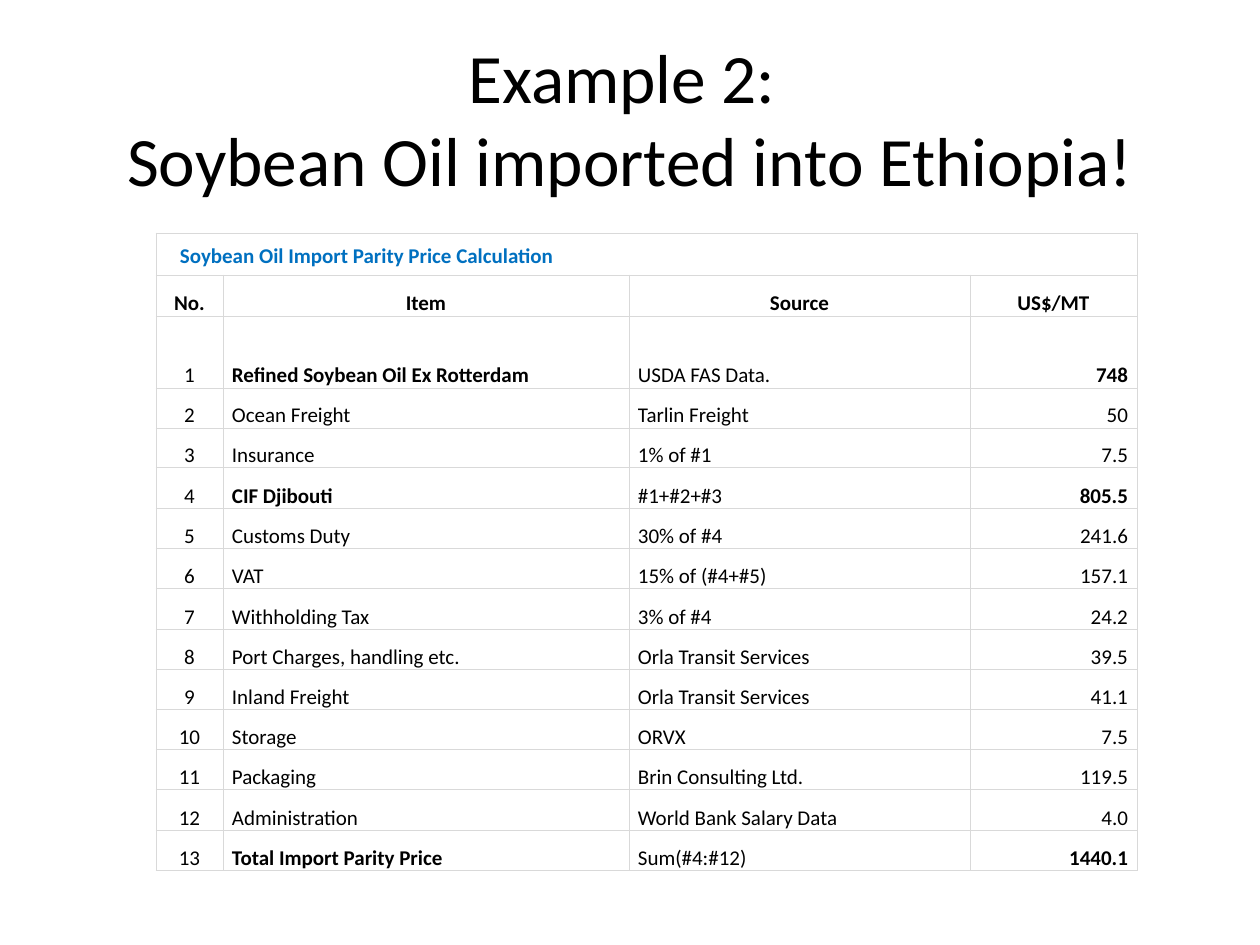
"""Build a slide with an import parity price table for soybean oil."""
from dataclasses import dataclass

from lxml.etree import SubElement
from pptx import Presentation
from pptx.dml.color import RGBColor
from pptx.enum.text import MSO_ANCHOR, MSO_AUTO_SIZE, PP_ALIGN
from pptx.oxml.ns import qn
from pptx.util import Pt

EMU_PER_PX = 914400 / 126
BLACK = RGBColor(0x00, 0x00, 0x00)
BLUE = RGBColor(0x00, 0x70, 0xC0)
WHITE = RGBColor(0xFF, 0xFF, 0xFF)
GRID_GREY = RGBColor(0xD9, 0xD9, 0xD9)

COLUMN_WIDTHS = (67, 406, 341, 167)
CAPTION_HEIGHT, HEADING_HEIGHT, FIRST_COST_HEIGHT = 42, 41, 72
OTHER_COSTS_HEIGHT = 483
HEADINGS = ("No.", "Item", "Source", "US$/MT")
COLUMN_ALIGNMENTS = (PP_ALIGN.CENTER, PP_ALIGN.JUSTIFY, PP_ALIGN.JUSTIFY, PP_ALIGN.RIGHT)


@dataclass(frozen=True)
class Cost:
    item: str
    source: str
    price: str
    bold: bool = False


COSTS = (
    Cost("Refined Soybean Oil Ex Rotterdam", "USDA FAS Data.", "748", True),
    Cost("Ocean Freight", "Tarlin Freight", "50"),
    Cost("Insurance", "1% of #1", "7.5"),
    Cost("CIF Djibouti", "#1+#2+#3", "805.5", True),
    Cost("Customs Duty", "30% of #4", "241.6"),
    Cost("VAT", "15% of (#4+#5)", "157.1"),
    Cost("Withholding Tax", "3% of #4", "24.2"),
    Cost("Port Charges, handling etc.", "Orla Transit Services", "39.5"),
    Cost("Inland Freight", "Orla Transit Services", "41.1"),
    Cost("Storage", "ORVX", "7.5"),
    Cost("Packaging", "Brin Consulting Ltd.", "119.5"),
    Cost("Administration", "World Bank Salary Data", "4.0"),
    Cost("Total Import Parity Price", "Sum(#4:#12)", "1440.1", True),
)


def px(length: int) -> int:
    """Turn whole pixels into EMU."""
    return round(length * EMU_PER_PX)


def apply_format(target, values: dict) -> None:
    """Set each named attribute on the target."""
    for name, value in values.items():
        setattr(target, name, value)


def style_font(font, size: float, color: RGBColor, bold: bool = False) -> None:
    """Give a font its face, size, weight and colour."""
    apply_format(font, {"name": "Calibri", "size": Pt(size), "bold": bold})
    font.color.rgb = color


def outline_cell(cell) -> None:
    """Draw a thin grey line on all four sides of a cell."""
    properties = cell._tc.get_or_add_tcPr()
    for position, side in enumerate(("a:lnL", "a:lnR", "a:lnT", "a:lnB")):
        line = SubElement(properties, qn(side), w=str(Pt(0.5)))
        fill = SubElement(line, qn("a:solidFill"))
        SubElement(fill, qn("a:srgbClr"), val=str(GRID_GREY))
        properties.insert(position, line)


def write_cell(cell, wording: str, alignment: PP_ALIGN, bold: bool = False,
               color: RGBColor = BLACK, anchor: MSO_ANCHOR = MSO_ANCHOR.BOTTOM,
               indent: int = 9, space_after: int = 10) -> None:
    """Write one formatted paragraph into a cell."""
    apply_format(cell, {"text": wording, "vertical_anchor": anchor,
                        "margin_left": px(indent), "margin_right": px(9),
                        "margin_top": 0, "margin_bottom": 0})
    paragraph = cell.text_frame.paragraphs[0]
    apply_format(paragraph, {"alignment": alignment, "line_spacing": 1.15,
                             "space_after": Pt(space_after)})
    style_font(paragraph.runs[0].font, 12, color, bold)


def row_heights() -> list[int]:
    """Return row heights, sharing the lower part evenly among the later costs."""
    count = len(COSTS) - 1
    edges = [round(OTHER_COSTS_HEIGHT * i / count) for i in range(count + 1)]
    return [CAPTION_HEIGHT, HEADING_HEIGHT, FIRST_COST_HEIGHT,
            *(low - high for high, low in zip(edges, edges[1:]))]


def add_title(slide) -> None:
    """Place and format the slide title."""
    title = slide.shapes.title
    apply_format(title, {"left": px(63), "top": px(38),
                         "width": px(1134), "height": px(158)})
    frame = title.text_frame
    apply_format(frame, {"text": "Example 2: \vSoybean Oil imported into Ethiopia!",
                         "word_wrap": True, "auto_size": MSO_AUTO_SIZE.NONE,
                         "vertical_anchor": MSO_ANCHOR.MIDDLE})
    paragraph = frame.paragraphs[0]
    paragraph.alignment = PP_ALIGN.CENTER
    style_font(paragraph.font, 39.6, BLACK)
    for run in paragraph.runs:
        style_font(run.font, 39.6, BLACK)


def add_price_table(slide) -> None:
    """Add the table of costs with its caption and headings."""
    heights = row_heights()
    table = slide.shapes.add_table(len(heights), len(COLUMN_WIDTHS), px(156), px(233),
                                   px(sum(COLUMN_WIDTHS)), px(sum(heights))).table
    apply_format(table, {"first_row": False, "horz_banding": False})
    for column, width in zip(table.columns, COLUMN_WIDTHS):
        column.width = px(width)
    for row, height in zip(table.rows, heights):
        row.height = px(height)
    for cell in table.iter_cells():
        cell.fill.solid()
        cell.fill.fore_color.rgb = WHITE
        outline_cell(cell)

    caption = table.cell(0, 0)
    caption.merge(table.cell(0, len(COLUMN_WIDTHS) - 1))
    write_cell(caption, "Soybean Oil Import Parity Price Calculation", PP_ALIGN.JUSTIFY,
               True, BLUE, MSO_ANCHOR.MIDDLE, indent=24, space_after=8)
    for column, heading in enumerate(HEADINGS):
        write_cell(table.cell(1, column), heading, PP_ALIGN.CENTER, True)
    for number, cost in enumerate(COSTS, start=1):
        entries = (str(number), cost.item, cost.source, cost.price)
        weights = (False, cost.bold, False, cost.bold)
        for column, entry in enumerate(entries):
            write_cell(table.cell(number + 1, column), entry,
                       COLUMN_ALIGNMENTS[column], weights[column])


def main() -> None:
    """Build and save the presentation."""
    presentation = Presentation()
    apply_format(presentation, {"slide_width": px(1260), "slide_height": px(945)})
    slide = presentation.slides.add_slide(presentation.slide_layouts[5])
    add_title(slide)
    add_price_table(slide)
    presentation.save("out.pptx")


if __name__ == "__main__":
    main()
